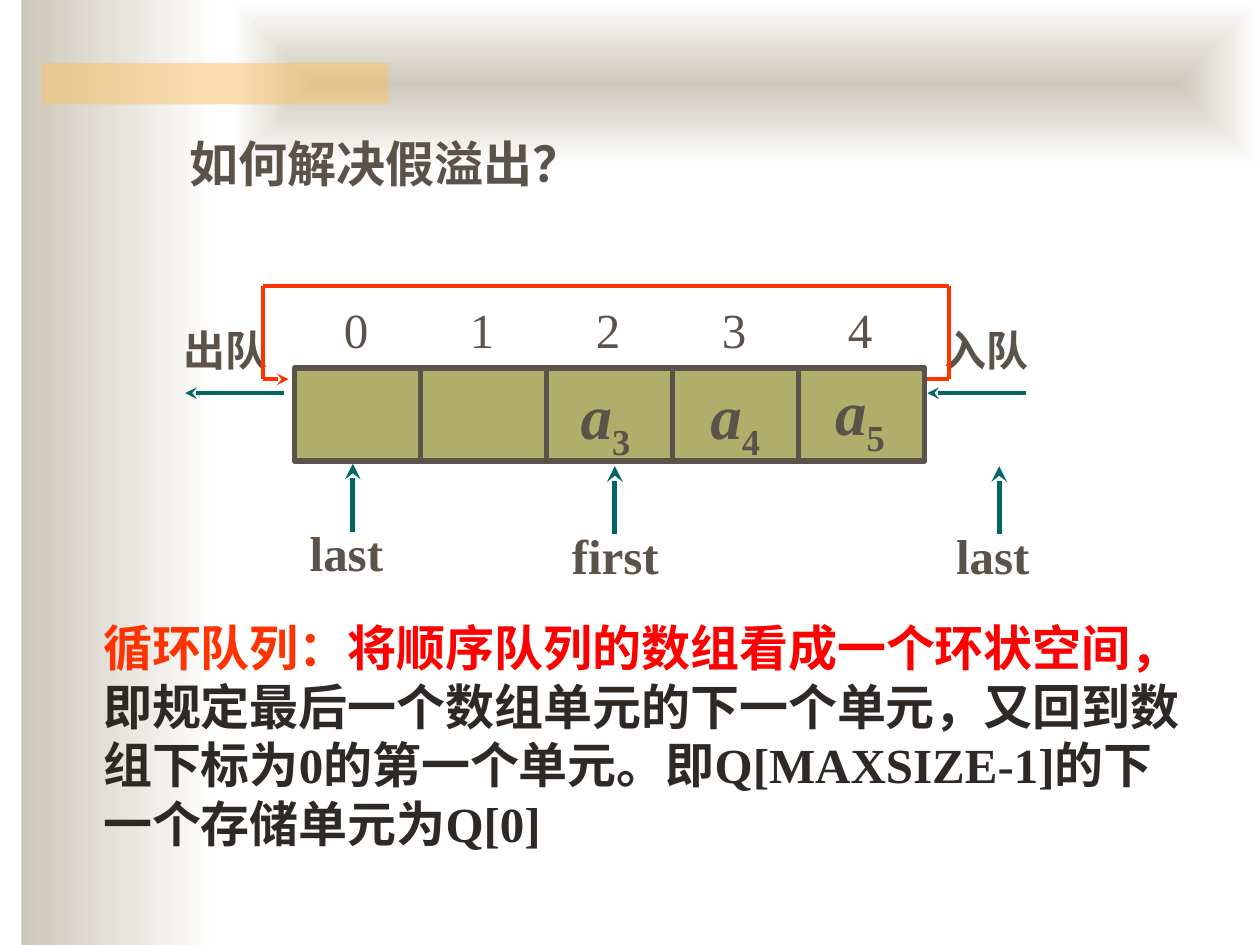
import dataclasses
import itertools

import lxml.etree
import pptx
import pptx.dml.color
import pptx.enum.shapes
import pptx.oxml.ns
import pptx.util

COLUMNS, ROWS = 10, 7.5


@dataclasses.dataclass(frozen=True)
class Theme:
    latin: str = "Times New Roman"
    asian: str = "Noto Sans CJK SC"
    ink: str = "5B5249"
    body: str = "2E2924"
    term: str = "FF3300"
    stress: str = "FF0000"
    arrow: str = "006666"
    cell: str = "B0AE6A"
    sand: str = "CEC8BA"
    paper: str = "FFFFFF"
    accent: str = "FAC164"
    text_size: int = 28
    label_size: int = 24
    item_size: int = 36
    thin: float = 2.25
    thick: float = 3


THEME = Theme()


@dataclasses.dataclass(frozen=True)
class Box:
    left: float
    top: float
    width: float
    height: float

    def area(self, column, row, width, height):
        return Box(self.left + column, self.top + row, width, height)

    def point(self, column, row):
        return self.left + column, self.top + row


def grid(*lengths):
    return [pptx.util.Inches(length) for length in lengths]


def rgb(value):
    return pptx.dml.color.RGBColor.from_string(value)


def add_child(parent, tag, **attributes):
    return lxml.etree.SubElement(parent, pptx.oxml.ns.qn(tag), attributes)


def add_rectangle(page, box):
    shape = page.shapes.add_shape(
        pptx.enum.shapes.MSO_SHAPE.RECTANGLE, *grid(*dataclasses.astuple(box)))
    shape.shadow.inherit = False
    shape.line.fill.background()
    return shape


def add_gradient(page, box):
    shape = add_rectangle(page, box)
    shape.fill.gradient()
    shape.fill.gradient_angle = 0
    for stop, color in zip(shape.fill.gradient_stops, (THEME.sand, THEME.paper)):
        stop.color.rgb = rgb(color)
    return shape


def add_text(page, box, size=THEME.text_size, bold=True, tabs=()):
    frame = page.shapes.add_textbox(*grid(*dataclasses.astuple(box))).text_frame
    frame.word_wrap = True
    para = frame.paragraphs[0]
    properties = para._p.get_or_add_pPr()
    if tabs:
        stops = add_child(properties, "a:tabLst")
        for position in tabs:
            add_child(stops, "a:tab", pos=str(pptx.util.Inches(position)), algn="l")
    font = para.font
    font.size = pptx.util.Pt(size)
    font.bold = bold
    font.color.rgb = rgb(THEME.ink)
    font.name = THEME.latin
    add_child(properties.find(pptx.oxml.ns.qn("a:defRPr")), "a:ea", typeface=THEME.asian)
    return para


def add_span(para, text):
    span = para.add_run()
    span.text = text
    return span


def add_line(page, start, end, color, weight, arrow=True):
    line = page.shapes.add_connector(
        pptx.enum.shapes.MSO_CONNECTOR.STRAIGHT, *grid(*start, *end))
    line.line.color.rgb = rgb(color)
    line.line.width = pptx.util.Pt(weight)
    properties = line._element.spPr
    if arrow:
        add_child(properties.find(pptx.oxml.ns.qn("a:ln")), "a:tailEnd", type="stealth")
    add_child(properties, "a:effectLst")


def draw_backdrop(page, box):
    add_gradient(page, box.area(0.17, 0, 1.58, box.height))
    banner = add_gradient(page, box.area(1.83, 0, box.width - 1.83, 1.33))
    gradient = banner._element.spPr.find(pptx.oxml.ns.qn("a:gradFill"))
    gradient.remove(gradient.find(pptx.oxml.ns.qn("a:lin")))
    centre = add_child(gradient, "a:path", path="shape")
    add_child(centre, "a:fillToRect", **dict.fromkeys("ltrb", "50000"))
    stripe = add_rectangle(page, box.area(0.33, 0.5, 2.75, 0.33))
    stripe.fill.solid()
    stripe.fill.fore_color.rgb = rgb(THEME.accent)
    color = stripe._element.spPr.find(".//" + pptx.oxml.ns.qn("a:srgbClr"))
    add_child(color, "a:alpha", val="50000")


def draw_title(page, box):
    add_span(add_text(page, box), "如何解决假溢出？")


def draw_explanation(page, box):
    para = add_text(page, box)
    for text, color, name in (
        ("循环队列：", THEME.term, THEME.latin),
        ("将顺序队列的数组看成一个环状空间，", THEME.stress, THEME.asian),
        ("即规定最后一个数组单元的下一个单元，又回到数组下标为0的第一个单元。"
         "即Q[MAXSIZE-1]的下一个存储单元为Q[0]", THEME.body, THEME.latin),
    ):
        font = add_span(para, text).font
        font.color.rgb = rgb(color)
        font.name = name


def draw_cells(page, box, count):
    width = box.width / count
    for index in range(count):
        cell = add_rectangle(page, box.area(index * width, 0, width, box.height))
        cell.fill.solid()
        cell.fill.fore_color.rgb = rgb(THEME.cell)
        cell.line.color.rgb = rgb(THEME.ink)
        cell.line.width = pptx.util.Pt(THEME.thick)
    para = add_text(page, box.area(0.29, -0.59, 4.68, 0.57), bold=False,
                    tabs=[index * width for index in range(1, count)])
    add_span(para, "\t".join(map(str, range(count))))


def draw_items(page, box):
    for column, row, number in ((2.17, 0.02, 3), (3.2, 0.02, 4), (4.19, -0.01, 5)):
        para = add_text(page, box.area(column, row, 0.64, 0.7), THEME.item_size)
        add_span(para, "a").font.italic = True
        subscript = add_span(para, str(number))
        subscript._r.get_or_add_rPr().set("baseline", "-25000")


def draw_flow(page, box):
    for text, label, width, start in (
        ("入队", 5.06, 1.08, 5.8),
        ("出队", -0.98, 1, -0.09),
    ):
        add_line(page, box.point(start, 0.2), box.point(start - 0.78, 0.2),
                 THEME.arrow, THEME.thin)
        para = add_text(page, box.area(label, -0.39, width, 0.5), THEME.label_size)
        add_span(para, text)


def draw_return(page, box):
    corners = [box.point(*corner) for corner in (
        (5.02, 0.09), (5.19, 0.09), (5.19, -0.65),
        (-0.25, -0.65), (-0.25, 0.09), (-0.05, 0.09))]
    for start, end in itertools.pairwise(corners):
        add_line(page, start, end, THEME.term, THEME.thin, end == corners[-1])


def draw_pointer(page, box, text):
    add_line(page, box.point(0.44, 0.54), box.point(0.44, 0), THEME.arrow, THEME.thick)
    add_span(add_text(page, box.area(0, 0.42, box.width, 0.57)), text)


def draw_queue(page, box):
    draw_cells(page, box, 5)
    draw_items(page, box)
    draw_flow(page, box)
    draw_return(page, box)
    for column, row, text in ((2.1, 0.78, "first"), (5.15, 0.78, "last"), (0.02, 0.76, "last")):
        draw_pointer(page, box.area(column, row, 1.13, 0.99), text)


def main():
    deck = pptx.Presentation()
    deck.slide_width, deck.slide_height = grid(COLUMNS, ROWS)
    page = deck.slides.add_slide(deck.slide_layouts[6])
    sheet = Box(0, 0, COLUMNS, ROWS)
    draw_backdrop(page, sheet)
    draw_explanation(page, sheet.area(0.72, 4.85, 8.85, 1.99))
    draw_title(page, sheet.area(1.41, 1.01, 6.6, 0.57))
    draw_queue(page, sheet.area(2.34, 2.92, 5, 0.74))
    deck.save("out.pptx")


if __name__ == "__main__":
    main()
